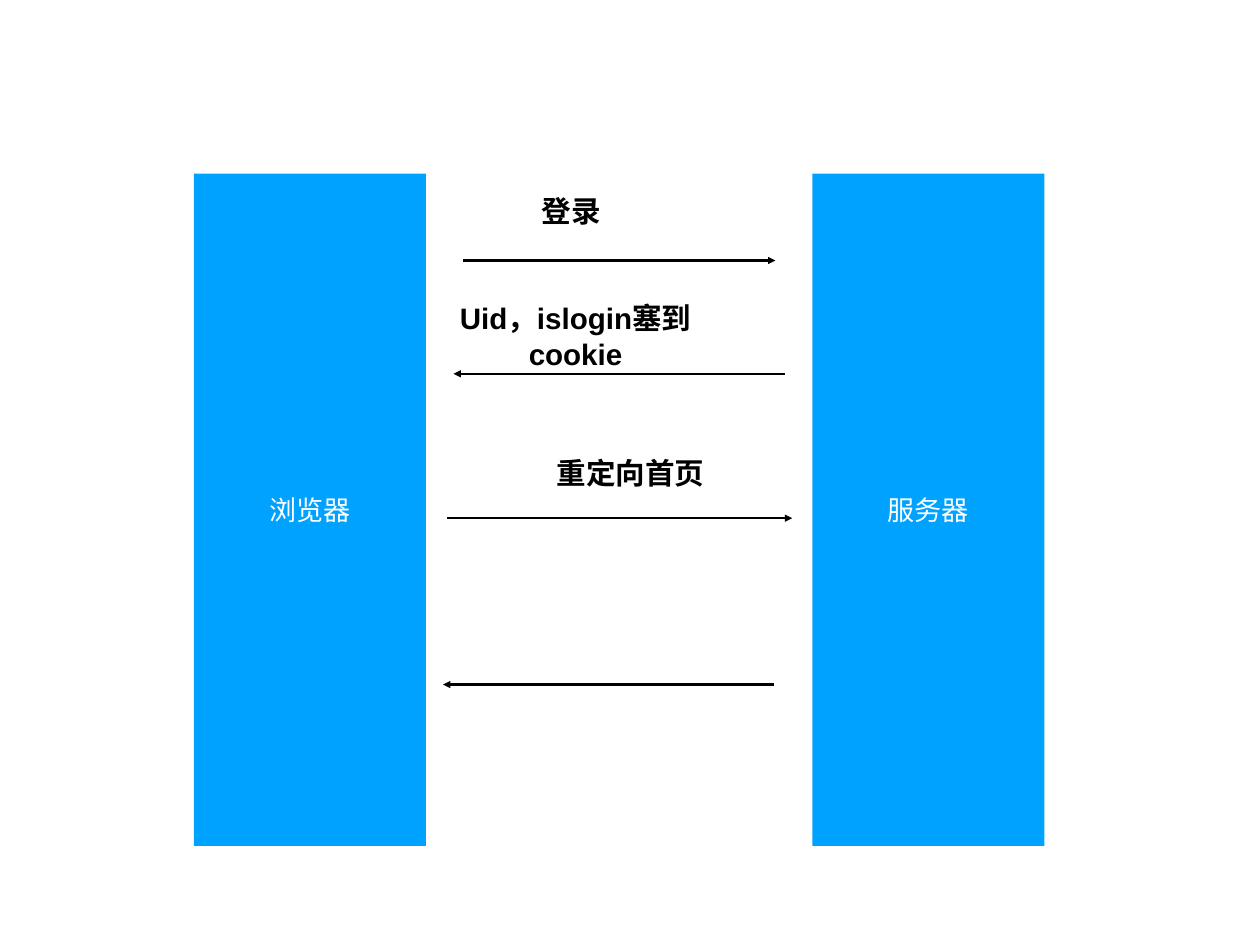
from lxml.etree import SubElement
from pptx import Presentation
from pptx.dml.color import RGBColor
from pptx.enum.shapes import MSO_CONNECTOR, MSO_SHAPE
from pptx.enum.text import MSO_ANCHOR, PP_ALIGN
from pptx.oxml.ns import qn
from pptx.util import Cm, Pt

COLORS = {"block": "00A2FF", "block_text": "FFFFFF", "ink": "000000"}
FONT = "Arial"
INSET = 0.14

# Lengths in centimetres
BLOCK_TOP, BLOCK_WIDTH, BLOCK_HEIGHT = 4.98, 6.65, 19.28
BLOCKS = [("浏览器", 5.56), ("服务器", 23.29)]  # text, left
ARROWS = [  # start x, end x, y
    (13.28, 22.23, 7.47),
    (22.5, 13.0, 10.72),
    (12.8, 22.71, 14.86),
    (22.2, 12.7, 19.63),
]
LABELS = [  # text, left, top, width, height, wrap
    ("登录", 15.37, 5.33, 2.01, 1.45, False),
    ("Uid，islogin塞到cookie", 12.6, 8.4, 7.8, 2.45, True),
    ("重定向首页", 15.8, 12.83, 4.55, 1.45, False),
]


def rgb(name):
    return RGBColor.from_string(COLORS[name])


def write_text(shape, text, size, color, bold=False, wrap=True):
    frame = shape.text_frame
    frame.word_wrap = wrap
    frame.vertical_anchor = MSO_ANCHOR.MIDDLE
    frame.margin_left = frame.margin_right = Cm(INSET)
    frame.margin_top = frame.margin_bottom = Cm(INSET)
    paragraph = frame.paragraphs[0]
    paragraph.alignment = PP_ALIGN.CENTER
    run = paragraph.add_run()
    run.text = text
    run.font.name = FONT
    run.font.size = Pt(size)
    run.font.bold = bold
    run.font.color.rgb = rgb(color)


def add_block(slide, text, left):
    shape = slide.shapes.add_shape(
        MSO_SHAPE.RECTANGLE, Cm(left), Cm(BLOCK_TOP), Cm(BLOCK_WIDTH), Cm(BLOCK_HEIGHT)
    )
    shape.shadow.inherit = False
    shape.fill.solid()
    shape.fill.fore_color.rgb = rgb("block")
    shape.line.fill.background()
    write_text(shape, text, 22, "block_text")


def add_arrow(slide, start, end, y):
    arrow = slide.shapes.add_connector(
        MSO_CONNECTOR.STRAIGHT, Cm(start), Cm(y), Cm(end), Cm(y)
    )
    arrow.line.color.rgb = rgb("ink")
    arrow.line.width = Pt(2)
    SubElement(arrow.line._get_or_add_ln(), qn("a:tailEnd"), type="triangle")
    SubElement(arrow._element.spPr, qn("a:effectLst"))


def add_label(slide, text, left, top, width, height, wrap):
    label = slide.shapes.add_textbox(Cm(left), Cm(top), Cm(width), Cm(height))
    write_text(label, text, 24, "ink", bold=True, wrap=wrap)


def main():
    presentation = Presentation()
    presentation.slide_width = Cm(36.12)
    presentation.slide_height = Cm(27.1)
    slide = presentation.slides.add_slide(presentation.slide_layouts[6])
    for block in BLOCKS:
        add_block(slide, *block)
    for arrow in ARROWS:
        add_arrow(slide, *arrow)
    for label in LABELS:
        add_label(slide, *label)
    presentation.save("out.pptx")


if __name__ == "__main__":
    main()
